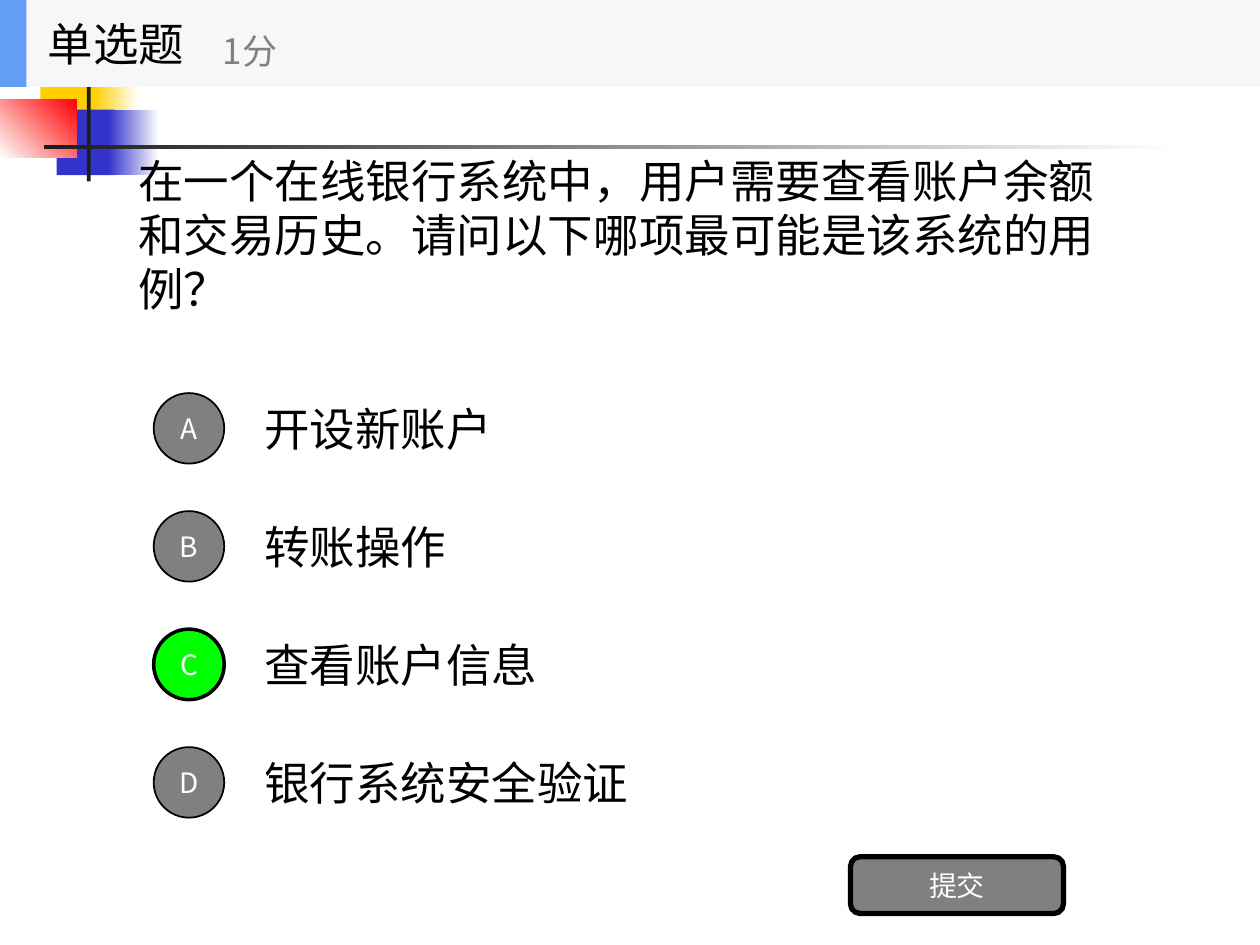
from pptx import Presentation
from pptx.dml.color import RGBColor
from pptx.enum import shapes, text
from pptx.oxml import ns
from pptx.util import Inches, Pt

FONT = "Noto Sans CJK SC"
BLACK = RGBColor(0, 0, 0)
WHITE = RGBColor(0xFF, 0xFF, 0xFF)
GRAY = RGBColor(0x80, 0x80, 0x80)
GREEN = RGBColor(0, 0xFF, 0)
YELLOW = RGBColor(0xFF, 0xCF, 0x01)
NAVY = RGBColor(0x33, 0x33, 0xCC)
RED = RGBColor(0xFF, 0, 0)
INK = RGBColor(0x1C, 0x1C, 0x1C)
HEADER = RGBColor(0xF6, 0xF7, 0xF8)
ACCENT = RGBColor(0x63, 0x9E, 0xF4)

QUESTION = "在一个在线银行系统中，用户需要查看账户余额和交易历史。请问以下哪项最可能是该系统的用例？"
OPTIONS = [("A", "开设新账户"), ("B", "转账操作"),
           ("C", "查看账户信息"), ("D", "银行系统安全验证")]
ANSWER = "C"
OPTION_TOP, OPTION_LAST, OPTION_H, CIRCLE = 3.05, 5.86, 0.7, 0.56

# box, fill (a pair of colours is a gradient), gradient angle
DECORATION = [
    ((0.32, 0.4, 0.48, 0.52), YELLOW, 0),
    ((0.74, 0.4, 0.36, 0.52), (YELLOW, WHITE), 0),
    ((0.45, 0.87, 0.46, 0.52), NAVY, 0),
    ((0.86, 0.87, 0.4, 0.52), (NAVY, WHITE), 0),
    ((0, 0.79, 0.61, 0.46), (WHITE, RED), 45),
    ((0.69, 0.29, 0.03, 1.15), INK, 0),
    ((0.35, 1.15, 9, 0.03), (INK, WHITE), 0),
]
HEADER_BARS = [((0, 0, 10, 0.69), HEADER), ((0, 0, 0.21, 0.69), ACCENT)]

prs = Presentation()
prs.slide_width, prs.slide_height = Inches(10), Inches(7.5)
s = prs.slides.add_slide(prs.slide_layouts[6])


def add_shape(box, fill, kind="RECTANGLE", angle=0, line=None):
    sp = s.shapes.add_shape(getattr(shapes.MSO_SHAPE, kind), *map(Inches, box))
    sp.shadow.inherit = False
    if isinstance(fill, RGBColor):
        sp.fill.solid()
        sp.fill.fore_color.rgb = fill
    else:
        sp.fill.gradient()
        sp.fill.gradient_angle = angle
        for stop, color, position in zip(sp.fill.gradient_stops, fill, (0, 1)):
            stop.color.rgb = color
            stop.position = position
    if line:
        sp.line.color.rgb = BLACK
        sp.line.width = Pt(line)
    else:
        sp.line.fill.background()
    return sp


def set_text(sp, content, size=26, color=BLACK, align="LEFT", spacing=None):
    tf = sp.text_frame
    tf.word_wrap = True
    tf.vertical_anchor = text.MSO_ANCHOR.MIDDLE
    p = tf.paragraphs[0]
    p.alignment = getattr(text.PP_ALIGN, align)
    if spacing:
        p.line_spacing = Pt(spacing)
    r = p.add_run()
    r.text = content
    r.font.size = Pt(size)
    r.font.color.rgb = color
    r.font.name = FONT
    ea = r.font._element.makeelement(ns.qn("a:ea"), {"typeface": FONT})
    r.font._element.find(ns.qn("a:latin")).addnext(ea)


def add_text(box, content, **fmt):
    set_text(s.shapes.add_textbox(*map(Inches, box)), content, **fmt)


def add_button(box, label, **shape_format):
    sp = add_shape(box, **shape_format)
    tf = sp.text_frame
    tf.margin_left = tf.margin_right = tf.margin_top = tf.margin_bottom = 0
    set_text(sp, label, size=16, color=WHITE, align="CENTER")


for box, fill, angle in DECORATION:
    add_shape(box, fill, angle=angle)

add_text((1, 0.69, 8, 2.34), QUESTION, spacing=31)

pitch = (OPTION_LAST - OPTION_TOP) / (len(OPTIONS) - 1)
for i, (letter, answer) in enumerate(OPTIONS):
    top = OPTION_TOP + i * pitch
    right = letter == ANSWER
    add_text((2, top, 7, OPTION_H), answer)
    add_button((1.22, top + (OPTION_H - CIRCLE) / 2, CIRCLE, CIRCLE), letter,
               kind="OVAL", fill=GREEN if right else GRAY, line=2 if right else 1)

add_button((6.75, 6.8, 1.69, 0.45), "提交",
           kind="ROUNDED_RECTANGLE", fill=GRAY, line=3)

for box, fill in HEADER_BARS:
    add_shape(box, fill)
add_text((0.28, 0, 2.08, 0.69), "单选题")
add_text((1.67, 0.12, 2.5, 0.56), "1分", size=20, color=GRAY)

prs.save("out.pptx")
